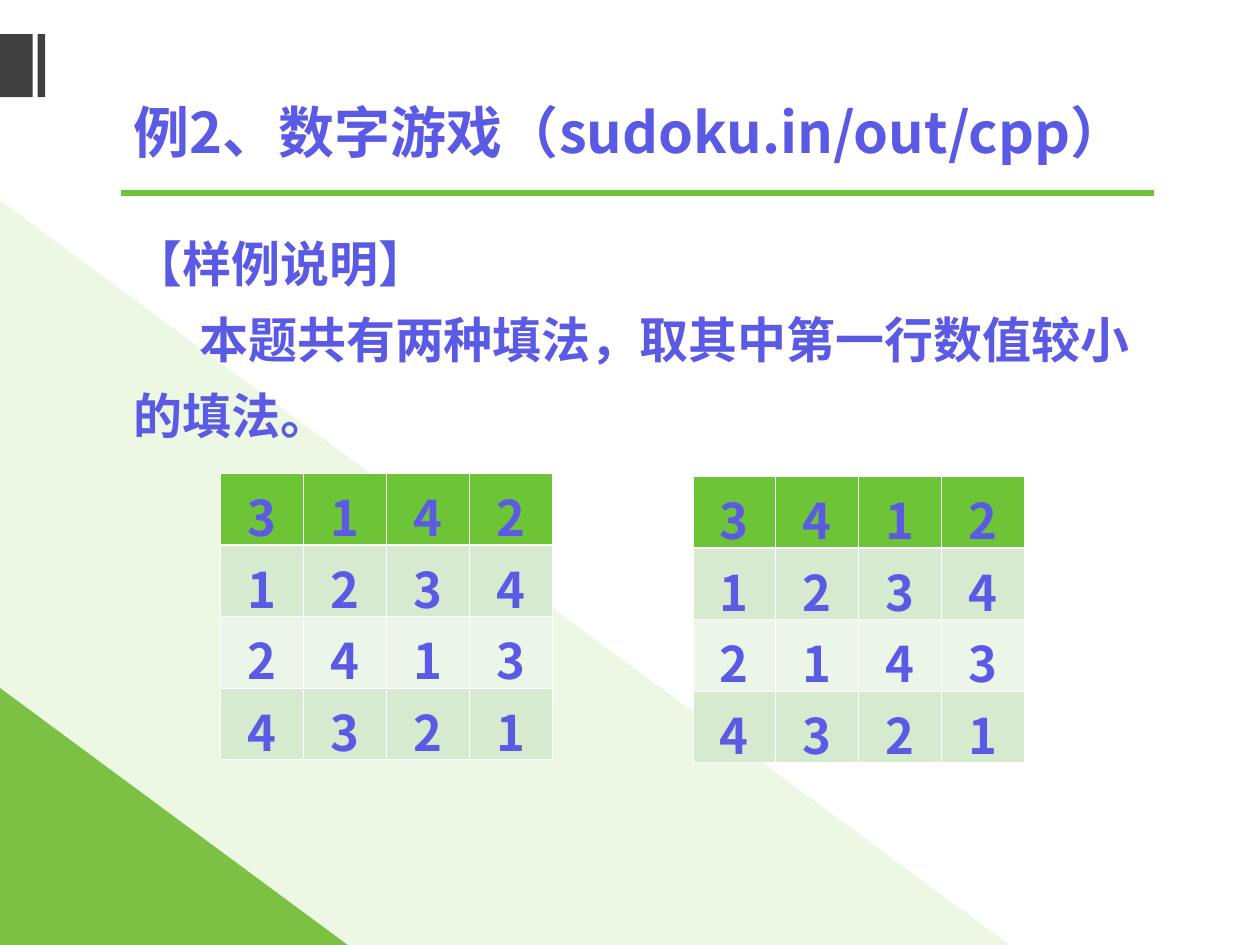
from lxml import etree
from pptx import Presentation
from pptx.dml.color import RGBColor
from pptx.enum import shapes, text
from pptx.oxml.ns import qn
from pptx.util import Cm, Pt

TITLE = "例2、数字游戏（sudoku.in/out/cpp）"
EXPLANATION = [
    ("【样例说明】", 0),
    ("本题共有两种填法，取其中第一行数值较小的填法。", 1.33),
]
SOLUTIONS = [
    ((4.45, 9.55), ["3142", "1234", "2413", "4321"]),
    ((13.97, 9.61), ["3412", "1234", "2143", "4321"]),
]
COLORS = {
    "ink": "5A5AE4", "bar": "404040", "pale": "C5E8AE", "corner": "7CC144",
    "green": "6EC437", "odd": "D5EACE", "even": "EBF5E8", "white": "FFFFFF",
}
BACKDROP = [
    (shapes.MSO_SHAPE.RECTANGLE, (0, 0.69, 0.66, 1.27), "bar", 100),
    (shapes.MSO_SHAPE.RECTANGLE, (0.76, 0.69, 0.15, 1.27), "bar", 100),
    (shapes.MSO_SHAPE.RIGHT_TRIANGLE, (0, 4.04, 20.35, 15.01), "pale", 32),
    (shapes.MSO_SHAPE.RIGHT_TRIANGLE, (0, 13.87, 7.01, 5.18), "corner", 100),
]
FONT = "Noto Sans CJK SC"
CELL = (1.67, 1.44)
LEFT = 2.44
THIN, THICK = 0.45, 1.47


def rgb(name):
    return RGBColor.from_string(COLORS[name])


def apply(target, values):
    for key, value in values.items():
        setattr(target, key, value)


def write(paragraph, words, size, **layout):
    apply(paragraph, layout)
    run = paragraph.add_run()
    run.text = words
    apply(run.font, {"name": FONT, "size": Pt(size), "bold": True})
    run.font.color.rgb = rgb("ink")
    etree.SubElement(run.font._element, qn("a:ea"), typeface=FONT)


def add_backdrop(slide):
    for kind, box, color, opacity in BACKDROP:
        piece = slide.shapes.add_shape(kind, *map(Cm, box))
        piece.shadow.inherit = False
        piece.fill.solid()
        piece.fill.fore_color.rgb = rgb(color)
        piece.line.fill.background()
        if opacity < 100:
            tint = piece._element.spPr.find(".//" + qn("a:srgbClr"))
            etree.SubElement(tint, qn("a:alpha"), val=str(opacity * 1000))


def add_heading(slide):
    heading = slide.shapes.title
    apply(heading, {"left": Cm(LEFT), "top": Cm(1.7), "width": Cm(21.62), "height": Cm(1.98)})
    apply(heading.text_frame, {
        "word_wrap": True, "auto_size": text.MSO_AUTO_SIZE.NONE,
        "vertical_anchor": text.MSO_ANCHOR.TOP,
    })
    write(heading.text_frame.paragraphs[0], TITLE, 32,
          alignment=text.PP_ALIGN.LEFT, line_spacing=1.1)
    rule = slide.shapes.add_connector(
        shapes.MSO_CONNECTOR.STRAIGHT, Cm(LEFT), Cm(3.89), Cm(23.27), Cm(3.89))
    rule.line.color.rgb = rgb("green")
    rule.line.width = Pt(3)
    etree.SubElement(rule._element.spPr, qn("a:effectLst"))


def add_explanation(slide):
    frame = slide.shapes.add_textbox(Cm(LEFT), Cm(4.22), Cm(20.83), Cm(4.88)).text_frame
    apply(frame, {"word_wrap": True, "auto_size": text.MSO_AUTO_SIZE.SHAPE_TO_FIT_TEXT})
    for index, (words, indent) in enumerate(EXPLANATION):
        paragraph = frame.add_paragraph() if index else frame.paragraphs[0]
        if indent:
            paragraph._p.get_or_add_pPr().set("indent", str(Cm(indent)))
        write(paragraph, words, 28, line_spacing=1.3)


def add_borders(cell, row):
    widths = {"lnL": THIN, "lnR": THIN, "lnT": THICK if row == 1 else THIN,
              "lnB": THICK if row == 0 else THIN}
    properties = cell._tc.get_or_add_tcPr()
    for side, width in widths.items():
        border = etree.SubElement(properties, qn("a:" + side), w=str(Pt(width)))
        fill = etree.SubElement(border, qn("a:solidFill"))
        etree.SubElement(fill, qn("a:srgbClr"), val=COLORS["white"])


def add_solution(slide, corner, rows):
    size = len(rows)
    grid = slide.shapes.add_table(
        size, size, *map(Cm, corner), *(Cm(side * size) for side in CELL)).table
    for r, digits in enumerate(rows):
        grid.rows[r].height = Cm(CELL[1])
        for c, digit in enumerate(digits):
            grid.columns[c].width = Cm(CELL[0])
            cell = grid.cell(r, c)
            add_borders(cell, r)
            cell.fill.solid()
            cell.fill.fore_color.rgb = rgb("green" if r == 0 else "odd" if r % 2 else "even")
            write(cell.text_frame.paragraphs[0], digit, 28, alignment=text.PP_ALIGN.CENTER)


def main():
    deck = Presentation()
    apply(deck, {"slide_width": Cm(25.4), "slide_height": Cm(19.05)})
    slide = deck.slides.add_slide(deck.slide_layouts[5])
    add_backdrop(slide)
    add_heading(slide)
    add_explanation(slide)
    for corner, rows in SOLUTIONS:
        add_solution(slide, corner, rows)
    deck.save("out.pptx")


if __name__ == "__main__":
    main()
